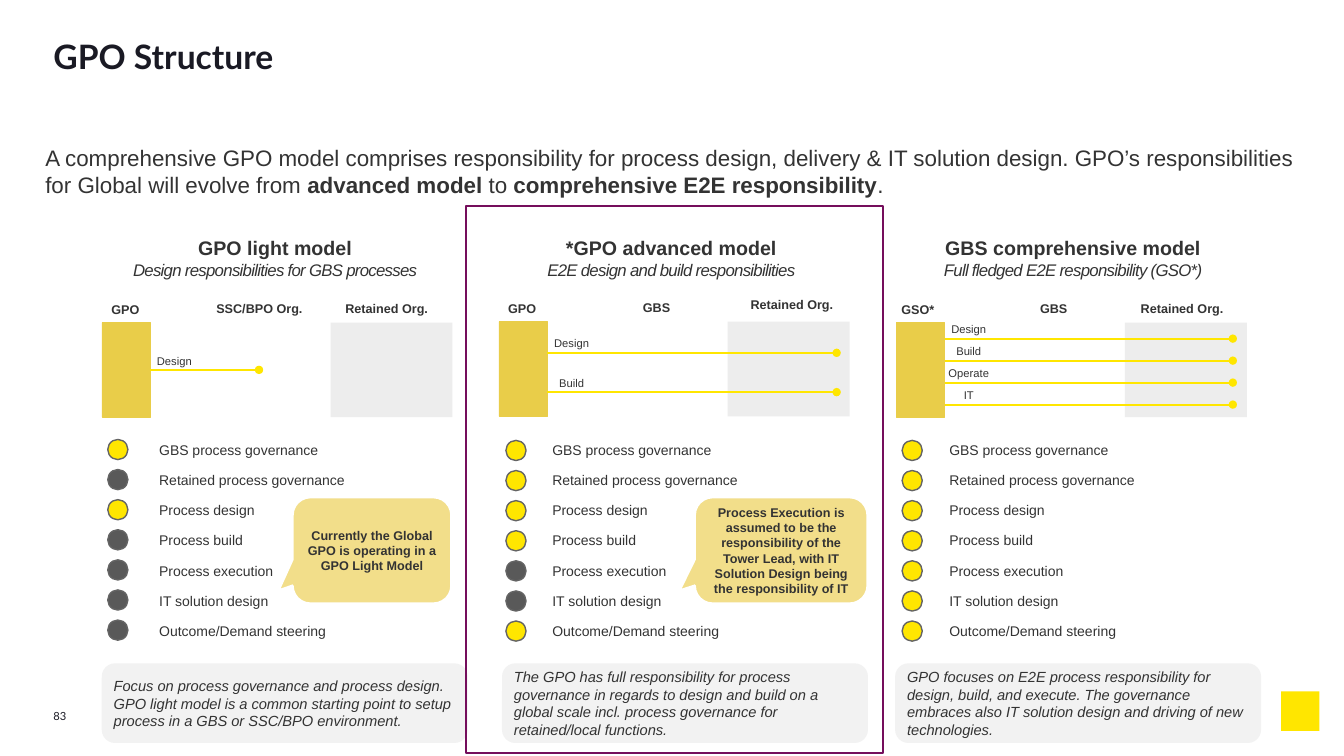
from dataclasses import dataclass
from typing import Optional

from lxml.etree import SubElement
from pptx import Presentation
from pptx.dml.color import RGBColor
from pptx.enum.shapes import MSO_CONNECTOR as Connector, MSO_SHAPE as Shape
from pptx.enum.text import MSO_ANCHOR as Anchor, MSO_AUTO_SIZE as AutoSize, PP_ALIGN as Align
from pptx.oxml.ns import qn
from pptx.util import Pt

INK = RGBColor(0x33, 0x33, 0x33)
DARK = RGBColor(0x1A, 0x1A, 0x24)
YELLOW = RGBColor(0xFF, 0xE6, 0x00)
GOLD = RGBColor(0xE9, 0xCD, 0x49)
PALE_GOLD = RGBColor(0xF2, 0xDE, 0x8A)
CHARCOAL = RGBColor(0x59, 0x59, 0x59)
OUTLINE = RGBColor(0x64, 0x64, 0x64)
SILVER = RGBColor(0xBF, 0xBF, 0xBF)
MIST = RGBColor(0xF2, 0xF2, 0xF2)
PURPLE = RGBColor(0x75, 0x0E, 0x5C)
WHITE = RGBColor(0xFF, 0xFF, 0xFF)

DUTIES = ("GBS process governance", "Retained process governance", "Process design",
          "Process build", "Process execution", "IT solution design",
          "Outcome/Demand steering")
DUTY_STEP = 21.5
BAR_WIDTH, BAR_HEIGHT = 34.6, 67.7
ORG_WIDTH = 87.1


@dataclass(frozen=True)
class Box:
    left: float
    top: float
    width: float
    height: float

    def lengths(self) -> tuple:
        return Pt(self.left), Pt(self.top), Pt(self.width), Pt(self.height)


@dataclass(frozen=True)
class Callout:
    box: Box
    text: str


@dataclass(frozen=True)
class Model:
    name: str
    tagline: str
    heading: Box
    owner: str
    owner_left: float
    organisation: str
    bar_left: float
    bar_top: float
    retained_left: float
    retained_top: float
    flows: tuple
    flow_top: float
    flow_step: float
    flow_end: float
    dot_left: float
    dot_top: float
    duty_left: float
    covered: str
    summary_left: float
    summary: str
    callout: Optional[Callout] = None


MODELS = (
    Model("GPO light model", "Design responsibilities for GBS processes",
          Box(54.7, 162.7, 283.7, 18), "GPO", 67.6, "SSC/BPO Org.", 72.7, 230.4,
          229.7, 211.3, ("Design",), 264.2, 0, 185, 77, 313.9, 106.6, "YNYNNNN", 72.7,
          "Focus on process governance and process design. GPO light model is a common "
          "starting point to setup process in a GBS or SSC/BPO environment.",
          Callout(Box(208.8, 355, 113.8, 76.3),
                  "Currently the Global GPO is operating in a GPO Light Model")),
    Model("*GPO advanced model", "E2E design and build responsibilities",
          Box(338.4, 162.7, 282.2, 18), "GPO", 351, "GBS", 356.4, 229.7,
          519.1, 208.8, ("Design", "Build"), 252, 28.1, 597.6, 361.4, 314.6, 387.4,
          "YYYYNNY", 358.6,
          "The GPO has full responsibility for process governance in regards to design "
          "and build on a global scale incl. process governance for retained/local functions.",
          Callout(Box(496.1, 355, 123.8, 76.3),
                  "Process Execution is assumed to be the responsibility of the Tower Lead, "
                  "with IT Solution Design being the responsibility of IT")),
    Model("GBS comprehensive model", "Full fledged E2E responsibility (GSO*)",
          Box(622.8, 162.7, 287.3, 18), "GSO*", 633.6, "GBS", 640.1, 230.4,
          797.8, 211, ("Design", "Build", "Operate", "IT"), 241.9, 15.7, 880.6,
          644.4, 314.6, 671, "YYYYYYY", 639.4,
          "GPO focuses on E2E process responsibility for design, build, and execute. The "
          "governance embraces also IT solution design and driving of new technologies."),
)


def write(paragraph, text: str, *, size: float, bold: bool = False, italic: bool = False,
          font: str = "Arial", color: RGBColor = INK, spacing: float = 0,
          align: Align = Align.LEFT) -> None:
    paragraph.alignment = align
    run = paragraph.add_run()
    run.text = text
    run.font.size = Pt(size)
    run.font.bold = bold
    run.font.italic = italic
    run.font.name = font
    run.font.color.rgb = color
    if spacing:
        run.font._element.set("spc", str(int(spacing * 100)))


def prepare(frame, across: float, down: float, anchor: Anchor):
    frame.word_wrap = True
    frame.auto_size = AutoSize.NONE
    frame.vertical_anchor = anchor
    frame.margin_left = frame.margin_right = Pt(across)
    frame.margin_top = frame.margin_bottom = Pt(down)
    return frame.paragraphs[0]


def label(slide, box: Box, across: float = 0, down: float = 0,
          anchor: Anchor = Anchor.MIDDLE):
    frame = slide.shapes.add_textbox(*box.lengths()).text_frame
    return prepare(frame, across, down, anchor)


def draw(slide, kind: Shape, box: Box, fill: Optional[RGBColor] = None,
         line: Optional[RGBColor] = None, weight: float = 1, opacity: int = 100):
    shape = slide.shapes.add_shape(kind, *box.lengths())
    shape.shadow.inherit = False
    if fill is None:
        shape.fill.background()
    else:
        shape.fill.solid()
        shape.fill.fore_color.rgb = fill
        if opacity < 100:
            tint = shape.fill._xPr.find(".//" + qn("a:srgbClr"))
            SubElement(tint, qn("a:alpha"), val=str(opacity * 1000))
    if line is None:
        shape.line.fill.background()
    else:
        shape.line.color.rgb = line
        shape.line.width = Pt(weight)
    return shape


def draw_flow(slide, start: float, end: float, y: float, name: str) -> None:
    flow = slide.shapes.add_connector(Connector.STRAIGHT, Pt(start), Pt(y), Pt(end), Pt(y))
    flow.line.color.rgb = YELLOW
    flow.line.width = Pt(1.5)
    SubElement(flow.line._get_or_add_ln(), qn("a:tailEnd"), type="oval")
    SubElement(flow._element.spPr, qn("a:effectLst"))
    write(label(slide, Box(start, y - 12.7, BAR_WIDTH, 12.2)), name,
          size=8, align=Align.CENTER)


def draw_model(slide, model: Model) -> None:
    heading = label(slide, model.heading, 11.5, 5.8, Anchor.TOP)
    write(heading, model.name, size=14, bold=True, align=Align.CENTER)
    write(heading._parent.add_paragraph(), model.tagline, size=12, italic=True,
          spacing=-0.5, align=Align.CENTER)

    left, top = model.bar_left, model.bar_top
    draw(slide, Shape.RECTANGLE, Box(left, top, BAR_WIDTH, BAR_HEIGHT), GOLD, GOLD, 0.25)
    draw(slide, Shape.RECTANGLE, Box(left + 163.4, top, ORG_WIDTH, BAR_HEIGHT),
         SILVER, opacity=28)
    for name, box in (
        (model.owner, Box(model.owner_left, top - 18.5, 44, 18)),
        (model.organisation, Box(left + 69, top - 18.7, ORG_WIDTH, 17.3)),
        ("Retained Org.", Box(model.retained_left, model.retained_top, 93, 18)),
    ):
        write(label(slide, box, 7.2, 3.6), name, size=9, bold=True, align=Align.CENTER)
    for index, name in enumerate(model.flows):
        draw_flow(slide, left + BAR_WIDTH, model.flow_end,
                  model.flow_top + index * model.flow_step, name)

    for index, (duty, state) in enumerate(zip(DUTIES, model.covered)):
        drop = index * DUTY_STEP
        draw(slide, Shape.OVAL, Box(model.dot_left, model.dot_top + drop, 14.4, 14.4),
             YELLOW if state == "Y" else CHARCOAL, OUTLINE)
        write(label(slide, Box(model.duty_left, 313.9 + drop, 170, 15.1), 7.2, 7.2),
              duty, size=10)

    summary = draw(slide, Shape.ROUNDED_RECTANGLE,
                   Box(model.summary_left, 473.8, 261.4, 56.9), MIST)
    write(prepare(summary.text_frame, 5.8, 5.8, Anchor.MIDDLE), model.summary,
          size=10.5, italic=True)


def draw_callout(slide, callout: Callout) -> None:
    bubble = draw(slide, Shape.ROUNDED_RECTANGULAR_CALLOUT, callout.box, PALE_GOLD, WHITE, 2)
    for index, value in enumerate((-0.59, 0.38, 0.17)):
        bubble.adjustments[index] = value
    write(prepare(bubble.text_frame, 7.2, 3.6, Anchor.MIDDLE), callout.text,
          size=9, bold=True, align=Align.CENTER)


def main() -> None:
    deck = Presentation()
    deck.slide_width, deck.slide_height = Pt(960), Pt(540)
    slide = deck.slides.add_slide(deck.slide_layouts[5])

    title = slide.shapes.title
    title.left, title.top, title.width, title.height = Box(38.2, 30.2, 884.2, 50.4).lengths()
    heading = prepare(title.text_frame, 0, 0, Anchor.TOP)
    heading.line_spacing = 0.85
    write(heading, "GPO Structure", size=24, bold=True, font="Lato", color=DARK)

    write(label(slide, Box(38.2, 506.9, 40.3, 9.4), anchor=Anchor.TOP), "83",
          size=8, font="Lato", color=DARK)
    draw(slide, Shape.RECTANGLE, Box(915.1, 493.9, 27.4, 28.1), YELLOW)

    intro = label(slide, Box(32.4, 103, 902.9, 36), anchor=Anchor.TOP)
    for text, bold in (
        ("A comprehensive GPO model comprises responsibility for process design, delivery & "
         "IT solution design. GPO’s responsibilities for Global will evolve from ", False),
        ("advanced model ", True),
        ("to ", False),
        ("comprehensive E2E responsibility", True),
        (".", False),
    ):
        write(intro, text, size=16, bold=bold)

    for model in MODELS:
        draw_model(slide, model)
    draw(slide, Shape.RECTANGLE, Box(332.6, 146.9, 298.1, 391), line=PURPLE, weight=1.5)
    for model in MODELS:
        if model.callout:
            draw_callout(slide, model.callout)

    deck.save("out.pptx")


if __name__ == "__main__":
    main()
